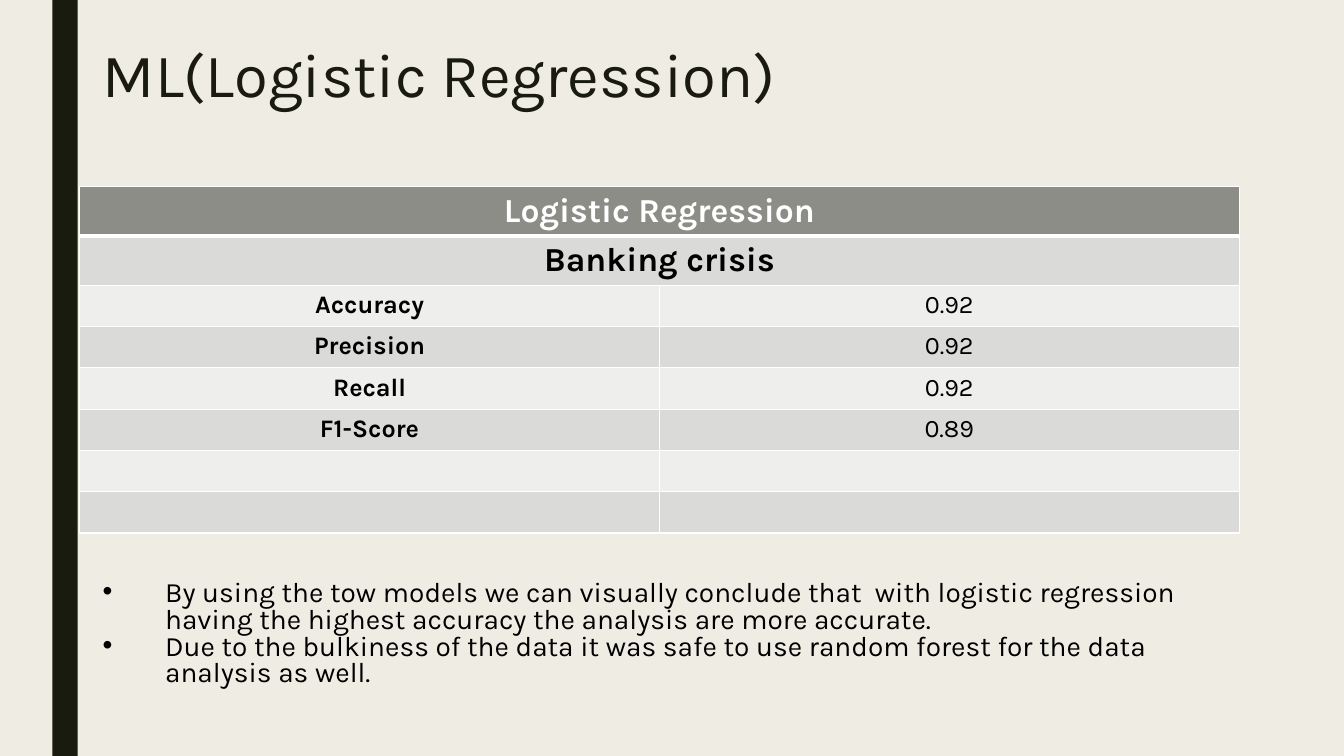
import dataclasses
import typing

import lxml.etree
import pptx
import pptx.dml.color
import pptx.enum.shapes
import pptx.enum.text
import pptx.oxml.ns
import pptx.util


@dataclasses.dataclass(frozen=True)
class Theme:
    font: str = "Karla"
    background: str = "EFEDE3"
    dark: str = "191B0E"
    black: str = "000000"
    white: str = "FFFFFF"
    header: str = "8C8D86"
    bands: tuple[str, str] = ("DADBD9", "EEEEED")
    title_size: int = 44
    heading_size: int = 24
    bullet_size: int = 20
    cell_size: int = 18
    thin_border: int = 1
    thick_border: int = 3


@dataclasses.dataclass(frozen=True)
class Box:
    left: float
    top: float
    width: float
    height: float

    def lengths(self) -> list[int]:
        return [pptx.util.Inches(value) for value in dataclasses.astuple(self)]


@dataclasses.dataclass(frozen=True)
class TableRow:
    label: str = ""
    value: str = ""
    heading: bool = False


THEME = Theme()
SLIDE_WIDTH, SLIDE_HEIGHT = 13.33, 7.5
CONTENT_LEFT, CONTENT_WIDTH = 0.92, 11.5
SIDE_BAR = Box(0.52, 0, 0.25, SLIDE_HEIGHT)
TITLE_BOX = Box(CONTENT_LEFT, 0.4, CONTENT_WIDTH, 1.29)
CONCLUSION_BOX = Box(CONTENT_LEFT, 5.65, CONTENT_WIDTH, 1.29)
TABLE_BOX = Box(0.79, 1.85, CONTENT_WIDTH, 3.43)
HEADING_HEIGHT, METRIC_HEIGHT = 0.49, 0.41
BULLET_INDENT = 0.62

ROWS = [
    TableRow("Logistic Regression", heading=True),
    TableRow("Banking crisis", heading=True),
    TableRow("Accuracy", "0.92"),
    TableRow("Precision", "0.92"),
    TableRow("Recall", "0.92"),
    TableRow("F1-Score", "0.89"),
    TableRow(),
    TableRow(),
]
CONCLUSIONS = [
    "By using the tow models we can visually conclude that  with logistic regression "
    "having the highest accuracy the analysis are more accurate.",
    "Due to the bulkiness of the data it was safe to use random forest for the data analysis as well.",
]


def paint(fill: typing.Any, color: str) -> None:
    fill.solid()
    fill.fore_color.rgb = pptx.dml.color.RGBColor.from_string(color)


def style(paragraph: typing.Any, size: int, color: str, bold: bool = False) -> None:
    font = paragraph.font
    font.name, font.size, font.bold = THEME.font, pptx.util.Pt(size), bold
    font.color.rgb = pptx.dml.color.RGBColor.from_string(color)


def add_borders(cell: typing.Any, top: int, bottom: int) -> None:
    properties = cell._tc.get_or_add_tcPr()
    widths = {"lnL": THEME.thin_border, "lnR": THEME.thin_border, "lnT": top, "lnB": bottom}
    for position, (tag, width) in enumerate(widths.items()):
        line = lxml.etree.Element(pptx.oxml.ns.qn(f"a:{tag}"), w=str(pptx.util.Pt(width)))
        fill = lxml.etree.SubElement(line, pptx.oxml.ns.qn("a:solidFill"))
        lxml.etree.SubElement(fill, pptx.oxml.ns.qn("a:srgbClr"), val=THEME.white)
        properties.insert(position, line)


def add_side_bar(slide: typing.Any) -> None:
    bar = slide.shapes.add_shape(pptx.enum.shapes.MSO_SHAPE.RECTANGLE, *SIDE_BAR.lengths())
    bar.shadow.inherit = False
    paint(bar.fill, THEME.dark)
    bar.line.fill.background()


def set_title(slide: typing.Any, text: str) -> None:
    title = slide.shapes.title
    title.left, title.top, title.width, title.height = TITLE_BOX.lengths()
    title.text_frame.text = text
    title.text_frame.word_wrap = True
    title.text_frame.vertical_anchor = pptx.enum.text.MSO_ANCHOR.TOP
    paragraph = title.text_frame.paragraphs[0]
    paragraph.alignment = pptx.enum.text.PP_ALIGN.LEFT
    paragraph.line_spacing = 0.89
    style(paragraph, THEME.title_size, THEME.dark)


def add_metrics_table(slide: typing.Any, rows: list[TableRow]) -> None:
    table = slide.shapes.add_table(len(rows), 2, *TABLE_BOX.lengths()).table
    for column in table.columns:
        column.width = pptx.util.Inches(TABLE_BOX.width / 2)
    for row_index, row in enumerate(rows):
        height = HEADING_HEIGHT if row.heading else METRIC_HEIGHT
        table.rows[row_index].height = pptx.util.Inches(height)
        is_header = row_index == 0
        fill = THEME.header if is_header else THEME.bands[(row_index - 1) % 2]
        color = THEME.white if is_header else THEME.black
        size = THEME.heading_size if row.heading else THEME.cell_size
        top = THEME.thick_border if row_index == 1 else THEME.thin_border
        bottom = THEME.thick_border if is_header else THEME.thin_border
        if row.heading:
            table.cell(row_index, 0).merge(table.cell(row_index, 1))
        for column_index, text in enumerate((row.label, row.value)):
            cell = table.cell(row_index, column_index)
            cell.text = text
            paint(cell.fill, fill)
            add_borders(cell, top, bottom)
            paragraph = cell.text_frame.paragraphs[0]
            paragraph.alignment = pptx.enum.text.PP_ALIGN.CENTER
            style(paragraph, size, color, bold=column_index == 0)


def add_conclusions(slide: typing.Any, conclusions: list[str]) -> None:
    frame = slide.shapes.add_textbox(*CONCLUSION_BOX.lengths()).text_frame
    frame.word_wrap = True
    frame.vertical_anchor = pptx.enum.text.MSO_ANCHOR.MIDDLE
    frame.text = "\n".join(conclusions)
    indent = pptx.util.Inches(BULLET_INDENT)
    for paragraph in frame.paragraphs:
        paragraph.line_spacing = 0.8
        style(paragraph, THEME.bullet_size, THEME.black)
        properties = paragraph._p.get_or_add_pPr()
        properties.set("marL", str(indent))
        properties.set("indent", str(-indent))
        bullet_font = lxml.etree.Element(pptx.oxml.ns.qn("a:buFont"), typeface="Arial")
        bullet = lxml.etree.Element(pptx.oxml.ns.qn("a:buChar"), char="•")
        defaults = properties.find(pptx.oxml.ns.qn("a:defRPr"))
        defaults.addprevious(bullet_font)
        defaults.addprevious(bullet)


def main() -> None:
    presentation = pptx.Presentation()
    presentation.slide_width = pptx.util.Inches(SLIDE_WIDTH)
    presentation.slide_height = pptx.util.Inches(SLIDE_HEIGHT)
    slide = presentation.slides.add_slide(presentation.slide_layouts.get_by_name("Title Only"))
    paint(slide.background.fill, THEME.background)
    add_side_bar(slide)
    set_title(slide, "ML(Logistic Regression)")
    add_metrics_table(slide, ROWS)
    add_conclusions(slide, CONCLUSIONS)
    presentation.save("out.pptx")


main()
